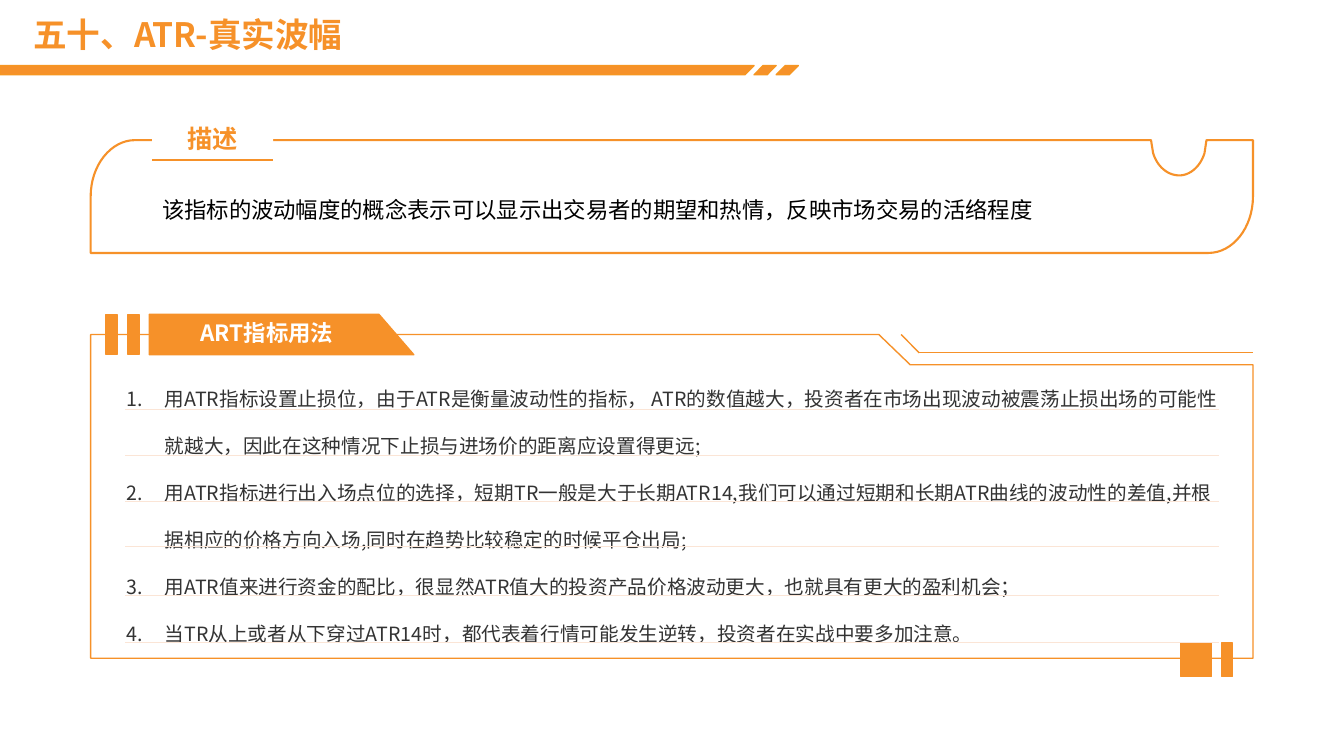
from lxml import etree
from pptx import Presentation
from pptx.dml.color import RGBColor
from pptx.enum import shapes, text
from pptx.oxml import ns
from pptx.util import Pt

ORANGE = RGBColor(0xF6, 0x91, 0x29)
BAR_EDGE = RGBColor(0xF6, 0x96, 0x21)
RULE = RGBColor(0xFB, 0xE5, 0xD6)
INK = RGBColor(0x33, 0x33, 0x33)
BLACK = RGBColor(0, 0, 0)
WHITE = RGBColor(0xFF, 0xFF, 0xFF)
FONT = "Noto Sans CJK SC"

deck = Presentation()
deck.slide_width, deck.slide_height = Pt(960), Pt(540)
slide = deck.slides.add_slide(deck.slide_layouts[1])


def draw_outline(points, filled, edge=ORANGE, width=1):
    corners = [(Pt(x), Pt(y)) for x, y in points]
    builder = slide.shapes.build_freeform(*corners[0])
    builder.add_line_segments(corners[1:], close=True)
    outline = builder.convert_to_shape()
    outline.shadow.inherit = False
    if filled:
        outline.fill.solid()
        outline.fill.fore_color.rgb = ORANGE
    else:
        outline.fill.background()
    outline.line.color.rgb = edge
    outline.line.width = Pt(width)
    return outline


def write(frame, wording, size, color, bold, align, spacing=1.0):
    frame.text = wording
    frame.word_wrap = True
    frame.auto_size = text.MSO_AUTO_SIZE.NONE
    frame.vertical_anchor = text.MSO_ANCHOR.MIDDLE
    for paragraph in frame.paragraphs:
        paragraph.alignment = align
        paragraph.line_spacing = spacing
        paragraph.space_before = Pt(0)
        for run in paragraph.runs:
            run.font.size = Pt(size)
            run.font.bold = bold
            run.font.name = FONT
            run.font.color.rgb = color
            east_asian = etree.SubElement(run.font._element, ns.qn("a:ea"))
            east_asian.set("typeface", FONT)


LEFT, CENTER = text.PP_ALIGN.LEFT, text.PP_ALIGN.CENTER

heading = slide.shapes.title
heading.left, heading.top, heading.width, heading.height = Pt(16.56), Pt(10.8), Pt(877.7), Pt(31)
write(heading.text_frame, "五十、ATR-真实波幅", 24, ORANGE, True, LEFT, 0.9)

draw_outline([(0, 46.8), (538.6, 46.8), (532.1, 53.4), (0, 53.4)], True, BAR_EDGE)
for slash in (538.6, 554.4):
    draw_outline([(slash + 6.5, 46.8), (slash + 15.8, 46.8), (slash + 9.3, 53.4), (slash, 53.4)],
                 True, BAR_EDGE)

description_edge = [
    [(96.5, 100.1)], [(822.2, 100.1)], [(823.7, 109.4)],
    [(826.6, 118.8), (833.8, 125.3), (842.4, 125.3)],
    [(850.3, 125.3), (857.5, 118.8), (860.4, 109.4)],
    [(861.8, 100.1)], [(895, 100.1)], [(895, 140.4)],
    [(895, 162.7), (880.6, 180.7), (863.3, 180.7)],
    [(64.8, 180.7)], [(64.8, 140.4)],
    [(64.8, 118.1), (79.2, 100.1), (96.5, 100.1)],
]
description_points = []
for segment in description_edge:
    if len(segment) == 1:
        description_points += segment
        continue
    controls = [description_points[-1]] + segment
    for step in range(1, 17):
        t = step / 16
        weights = [(1 - t) ** 3, 3 * t * (1 - t) ** 2, 3 * t ** 2 * (1 - t), t ** 3]
        description_points.append(
            tuple(sum(w * c[axis] for w, c in zip(weights, controls)) for axis in (0, 1)))
draw_outline(description_points, False, width=1.5)

description = slide.shapes.add_textbox(Pt(108.7), Pt(124.6), Pt(771.8), Pt(46))
write(description.text_frame, "该指标的波动幅度的概念表示可以显示出交易者的期望和热情，反映市场交易的活络程度",
      16, BLACK, False, LEFT, 1.3)
description.text_frame.margin_bottom = Pt(5.76)

description_label = slide.shapes.add_shape(
    shapes.MSO_SHAPE.RECTANGLE, Pt(108.7), Pt(83.5), Pt(86.4), Pt(31))
description_label.shadow.inherit = False
description_label.fill.solid()
description_label.fill.fore_color.rgb = WHITE
description_label.line.fill.background()
write(description_label.text_frame, "描述", 18, ORANGE, True, CENTER)

draw_outline([(64.8, 239), (627.8, 239), (650.2, 260.6), (895, 260.6), (895, 470.2), (64.8, 470.2)],
             False)

for left, top, width, height in [(75.6, 224.6, 7.9, 28.8), (91.4, 224.6, 7.9, 28.8),
                                 (843.1, 459.4, 22.3, 23.8), (872.6, 459.4, 7.9, 23.8)]:
    block = slide.shapes.add_shape(
        shapes.MSO_SHAPE.RECTANGLE, Pt(left), Pt(top), Pt(width), Pt(height))
    block.shadow.inherit = False
    block.fill.solid()
    block.fill.fore_color.rgb = ORANGE
    block.line.color.rgb = ORANGE
    block.line.width = Pt(1)

usage_label = draw_outline([(106.6, 224.6), (270.7, 224.6), (295.6, 253.4), (106.6, 253.4)], True)
write(usage_label.text_frame, "ART指标用法", 16, WHITE, True, CENTER)
usage_label.text_frame.margin_right = Pt(28.1)
usage_label.text_frame.margin_bottom = Pt(5.76)

usages = [
    "用ATR指标设置止损位，由于ATR是衡量波动性的指标， ATR的数值越大，投资者在市场出现波动被震荡止损出场的可能性就越大，因此在这种情况下止损与进场价的距离应设置得更远;",
    "用ATR指标进行出入场点位的选择，短期TR一般是大于长期ATR14,我们可以通过短期和长期ATR曲线的波动性的差值,并根据相应的价格方向入场,同时在趋势比较稳定的时候平仓出局;",
    "用ATR值来进行资金的配比，很显然ATR值大的投资产品价格波动更大，也就具有更大的盈利机会；",
    "当TR从上或者从下穿过ATR14时，都代表着行情可能发生逆转，投资者在实战中要多加注意。",
]
usage = slide.placeholders[1]
usage.left, usage.top, usage.width, usage.height = Pt(83.5), Pt(255.6), Pt(800.6), Pt(234)
write(usage.text_frame, "\n".join(usages), 14, INK, False, LEFT, 2.0)
usage.text_frame.vertical_anchor = text.MSO_ANCHOR.TOP
for item in usage.text_frame.paragraphs:
    properties = item._p.get_or_add_pPr()
    properties.set("marL", str(Pt(27)))
    properties.set("indent", str(-Pt(27)))
    etree.SubElement(properties, ns.qn("a:buFont")).set("typeface", FONT)
    etree.SubElement(properties, ns.qn("a:buAutoNum")).set("type", "arabicPeriod")

strokes = [
    (108.7, 114.5, 195.1, 114.5, ORANGE, 1.5),
    (643.7, 239, 656.6, 252, ORANGE, 1),
    (656.6, 252, 895, 252, ORANGE, 1),
]
strokes += [(89.3, y, 870.5, y, RULE, 0.5) for y in (292.3, 325.4, 357.8, 390.2, 425.5, 458.6)]
for x1, y1, x2, y2, color, width in strokes:
    stroke = slide.shapes.add_connector(
        shapes.MSO_CONNECTOR.STRAIGHT, Pt(x1), Pt(y1), Pt(x2), Pt(y2))
    stroke.line.color.rgb = color
    stroke.line.width = Pt(width)
    etree.SubElement(stroke._element.spPr, ns.qn("a:effectLst"))

deck.save("out.pptx")
